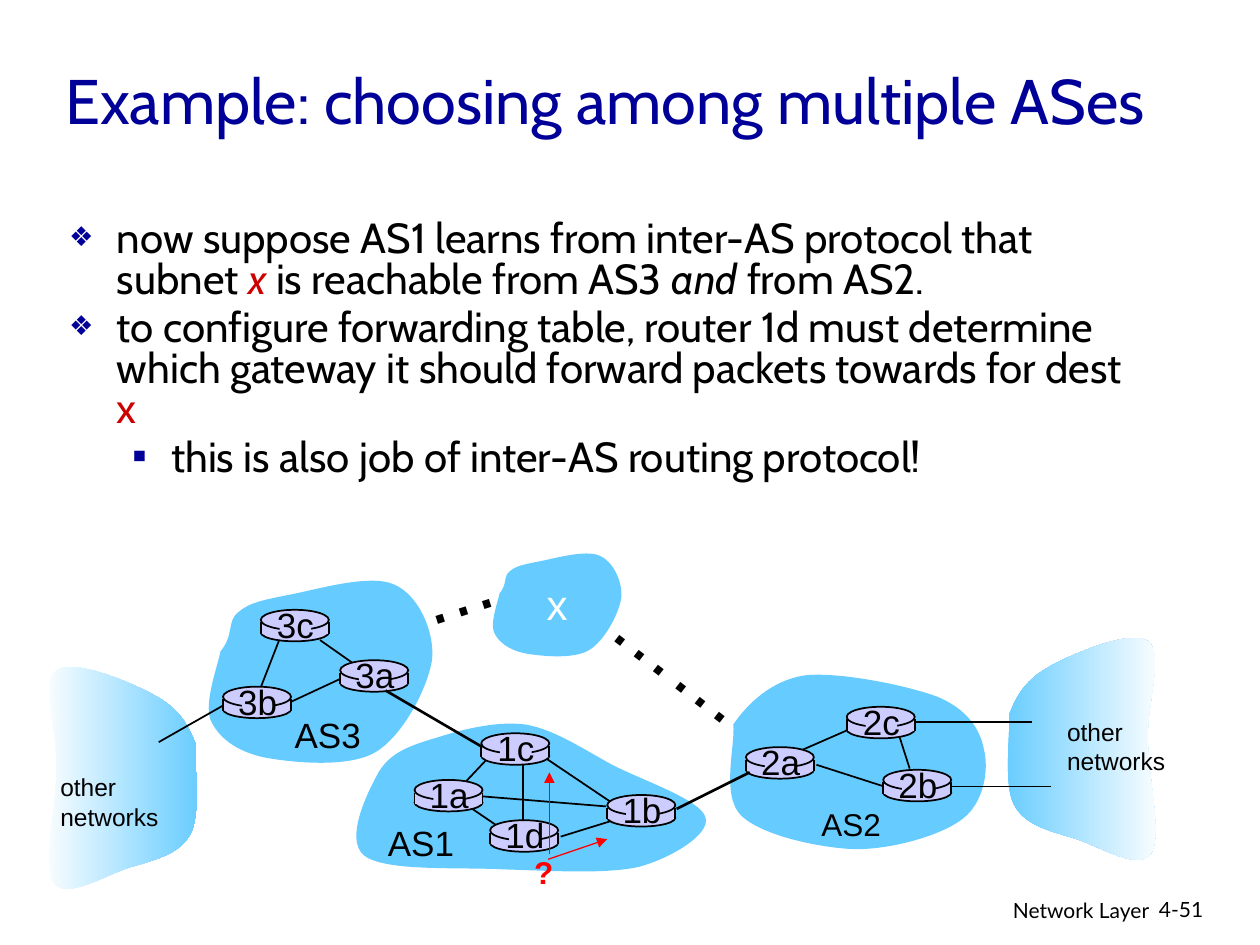
from dataclasses import dataclass
from typing import NamedTuple

from lxml.etree import SubElement
from pptx import Presentation
from pptx.dml.color import RGBColor
from pptx.enum.shapes import MSO_CONNECTOR as Wire, MSO_SHAPE as Form
from pptx.enum.text import MSO_ANCHOR as Anchor, MSO_AUTO_SIZE as Fit, PP_ALIGN as Align
from pptx.oxml.ns import qn
from pptx.util import Emu, Inches, Pt

WIDE, HIGH = Inches(10), Inches(7.5)
CELL = WIDE / 100  # the grid has 100 columns and 75 rows of square cells

BLACK = RGBColor(0x00, 0x00, 0x00)
WHITE = RGBColor(0xFF, 0xFF, 0xFF)
NAVY = RGBColor(0x00, 0x00, 0x99)
CRIMSON = RGBColor(0xCC, 0x00, 0x00)
RED = RGBColor(0xFF, 0x00, 0x00)
SKY = RGBColor(0x66, 0xCC, 0xFF)
LILAC = RGBColor(0xCC, 0xCC, 0xFF)

Points = list[tuple[float, float]]


@dataclass
class Note:
    text: str
    x: float
    y: float
    w: float
    h: float
    size: float
    color: RGBColor = BLACK
    font: str = "Arial"
    bold: bool = False
    turn: float = 0
    wrap: bool = False
    align: Align = Align.LEFT
    anchor: Anchor = Anchor.TOP


class Link(NamedTuple):
    x1: float
    y1: float
    x2: float
    y2: float
    width: float = 1
    color: RGBColor = BLACK
    arrow: bool = False


class Router(NamedTuple):
    name: str
    x: float
    y: float


class Span(NamedTuple):
    text: str
    color: RGBColor = BLACK
    slant: bool = False


class Item(NamedTuple):
    spans: list[Span]
    mark: str
    left: float
    hang: float
    scale: int
    level: int = 0


# Each outline is a start point followed by Bezier triples.
AS3: Points = [
    (17.5, 51.7), (18.6, 50.4), (18, 49.3), (18.9, 48.6), (19.8, 47.8), (21, 47.6), (23, 47.2),
    (25.1, 46.8), (29.4, 45.5), (31.3, 46.4), (33.2, 47.2), (34.5, 50.1), (34.3, 52.3),
    (34, 54.5), (32, 58.4), (29.8, 59.7), (27.6, 61), (23, 60.5), (20.9, 60.1),
    (18.7, 59.6), (17.3, 58.5), (16.7, 57.1), (16.2, 55.7), (17.3, 52.8), (17.5, 51.7)]
AS2: Points = [
    (58.2, 57.5), (59.3, 55.9), (61.2, 54), (63.9, 53.6), (66.6, 53.3), (72, 54.4), (74.4, 55.3),
    (76.8, 56.3), (77.8, 57.9), (78.1, 59.5), (78.5, 61.1), (78.1, 63.7), (76.4, 65),
    (74.7, 66.3), (70.9, 67.4), (67.9, 67.4), (65, 67.3), (60.4, 66.3), (58.8, 64.7),
    (57.2, 63.1), (58.4, 59), (58.2, 57.5)]
AS1: Points = [
    (30.1, 61.2), (31.1, 59.6), (32.8, 59.1), (34.8, 58.5), (36.7, 57.9), (39.4, 57.2), (41.7, 57.5),
    (44, 57.9), (46.2, 59.4), (48.6, 60.7), (50.9, 61.9), (55.7, 63.5), (56, 64.9),
    (56.4, 66.2), (53.3, 68.1), (50.7, 68.8), (48, 69.4), (43.6, 69.1), (40, 69),
    (36.4, 68.8), (30.6, 69.2), (28.9, 67.9), (27.3, 66.6), (29.2, 62.8), (30.1, 61.2)]
EAST: Points = [
    (80.1, 56.7), (80.7, 55.1), (81.5, 53.9), (83.3, 52.9), (85.1, 51.9), (89.8, 49.9), (91.1, 50.9),
    (92.4, 51.8), (91, 55.9), (91.1, 58.7), (91.1, 61.6), (92.3, 66.5), (91.3, 67.8),
    (90.4, 69.1), (87.3, 67.2), (85.5, 66.6), (83.6, 66), (81.4, 65.6), (80.5, 63.9),
    (79.6, 62.3), (80.2, 58.2), (80.1, 56.7)]
WEST: Points = [(95.6 - x, y + 2.3) for x, y in EAST]
NET_X: Points = [(38.9 + (x - 16.2) * 0.575, 43.6 + (y - 45.5) * 0.565) for x, y in AS3]

LINKS = [
    Link(23.1, 55.7, 27.4, 53.7), Link(28.1, 52.7, 25.4, 50.8), Link(22.2, 50.7, 20.6, 54.8),
    Link(38.7, 60.2, 37, 62), Link(41.5, 60.6, 41.5, 65.6), Link(43.2, 60.1, 48.7, 63.8),
    Link(48.7, 65.1, 44.5, 66.4), Link(48.1, 64, 38.2, 63.2), Link(37.2, 64, 39.4, 65.5),
    Link(62.8, 59.9, 67.6, 57.8), Link(64.8, 60.7, 70.1, 62.4), Link(71.4, 58.5, 72.2, 61),
    Link(72.6, 57.3, 81.9, 57.3, 0.75), Link(75.3, 62.4, 83.4, 62.4, 0.75),
    Link(17.7, 56, 12.6, 58.9)]
FRONT = [
    Link(30.6, 54.8, 38.3, 59.3, 1.5), Link(53.7, 64.2, 59.5, 61.3, 1.5),
    Link(43.5, 68.2, 48.2, 66.6, 0.75, RED, True), Link(43.6, 67.8, 43.6, 61.3, 0.75, RED, True)]
ROUTERS = [
    Router("3b", 17.7, 54.5), Router("3c", 20.7, 48.4), Router("3a", 27, 52.4),
    Router("1c", 38.2, 58.2), Router("1a", 32.9, 61.9), Router("1d", 38.9, 65.1),
    Router("1b", 48.2, 63.1), Router("2a", 59.2, 59.3), Router("2c", 67.2, 56.1),
    Router("2b", 70.1, 61.1)]
NOTES = [
    Note("Network Layer", 60.5, 70.7, 31.7, 3.1, 12, font="Lato", wrap=True, align=Align.RIGHT),
    Note("4-51", 91, 70.7, 7.4, 3, 12, font="Lato", wrap=True),
    Note("Example: choosing among multiple ASes", 4.2, 2.7, 95.9, 10.4, 36, NAVY, "Cabin",
         wrap=True, anchor=Anchor.MIDDLE),
    Note("AS3", 22.4, 56.1, 7.3, 4.3, 20),
    Note("AS2", 64.2, 63.4, 6.7, 4, 18),
    Note("AS1", 29.8, 64.7, 7.3, 4.3, 20),
    Note("other\nnetworks", 83.7, 56.4, 9.8, 5.7, 14),
    Note("other\nnetworks", 3.8, 60.8, 9.8, 5.7, 14),
    Note("x", 42.4, 45.4, 3.7, 5, 24, WHITE),
    Note("……", 47.4, 48.1, 14.2, 8.3, 44, turn=37.7),
    Note("…", 32.1, 42.4, 8.1, 8.3, 44, turn=342.3),
    Note("?", 41.4, 67.2, 3.5, 4, 18, RED, bold=True)]
ITEMS = [
    Item([Span("now suppose AS1 learns from inter-AS protocol that subnet "), Span("x", CRIMSON, True),
          Span(" is reachable from AS3 "), Span("and", BLACK, True), Span(" from AS2.")],
         "❖", 0.38, 0.38, 65),
    Item([Span("to configure forwarding table, router 1d must determine which gateway "
               "it should forward packets towards for dest "), Span("x", CRIMSON)],
         "❖", 0.38, 0.38, 65),
    Item([Span("this is also job of inter-AS routing protocol!")], "▪", 0.81, 0.31, 100, 1)]


def grid(*cells: float) -> list[Emu]:
    return [Emu(round(n * CELL)) for n in cells]


def style(run, size: float, color: RGBColor, font: str) -> None:
    run.font.size, run.font.name = Pt(size), font
    run.font.color.rgb = color


def write(shapes, note: Note) -> None:
    box = shapes.add_textbox(*grid(note.x, note.y, note.w, note.h))
    box.rotation = note.turn
    frame = box.text_frame
    frame.text = note.text
    frame.word_wrap, frame.vertical_anchor = note.wrap, note.anchor
    frame.auto_size = Fit.NONE if note.wrap else Fit.SHAPE_TO_FIT_TEXT
    for para in frame.paragraphs:
        para.alignment = note.align
        for run in para.runs:
            style(run, note.size, note.color, note.font)
            run.font.bold = note.bold


def join(shapes, link: Link) -> None:
    wire = shapes.add_connector(Wire.STRAIGHT, *grid(*link[:4]))
    wire.line.color.rgb, wire.line.width = link.color, Pt(link.width)
    props = wire._element.spPr
    if link.arrow:
        SubElement(props.find(qn("a:ln")), qn("a:tailEnd"), type="triangle")
    SubElement(props, qn("a:effectLst"))


def cloud(shapes, points: Points, fade: tuple[RGBColor, ...] = ()) -> None:
    """Draw a closed Bezier outline, plain or with a fade from left to right."""
    first, *rest = [grid(*point) for point in points]
    pen = shapes.build_freeform(*first)
    pen.add_line_segments(rest, close=True)
    shape = pen.convert_to_shape()
    steps = list(shape._element.iter(qn("a:lnTo")))[:len(rest)]
    for k in range(0, len(steps), 3):  # merge three straight steps into one curve
        curve = steps[k].makeelement(qn("a:cubicBezTo"))
        steps[k].addprevious(curve)
        for step in steps[k:k + 3]:
            curve.append(step[0])
            step.getparent().remove(step)
    shape.shadow.inherit = False
    shape.line.fill.background()
    if fade:
        shape.fill.gradient()
        shape.fill.gradient_angle = 0
        for stop, color in zip(shape.fill.gradient_stops, fade):
            stop.color.rgb = color
    else:
        shape.fill.solid()
        shape.fill.fore_color.rgb = SKY


def plate(shapes, form: Form, *place: float) -> None:
    """Add a lilac router part; only ellipses are outlined."""
    part = shapes.add_shape(form, *grid(*place))
    part.shadow.inherit = False
    part.fill.solid()
    part.fill.fore_color.rgb = LILAC
    if form == Form.OVAL:
        part.line.color.rgb, part.line.width = BLACK, Pt(1)
    else:
        part.line.fill.background()


def route(shapes, router: Router) -> None:
    name, x, y = router
    parts = shapes.add_group_shape().shapes
    plate(parts, Form.OVAL, x, y + 1.1, 5.4, 1.4)
    plate(parts, Form.RECTANGLE, x, y + 1, 5.4, 0.9)
    for side in (x, x + 5.4):
        join(parts, Link(side, y + 1, side, y + 1.9))
    plate(parts, Form.OVAL, x, y, 5.4, 1.6)
    plate(parts, Form.RECTANGLE, x + 1.5, y + 0.2, 2.5, 2)
    write(parts, Note(name, x + 0.2, y - 1, 5.1, 4.3, 20, align=Align.CENTER))


def listing(shapes) -> None:
    frame = shapes.add_textbox(*grid(4.5, 17.1, 87.4, 30.1)).text_frame
    frame.word_wrap = True
    for k, item in enumerate(ITEMS):
        para = frame.add_paragraph() if k else frame.paragraphs[0]
        para.level, para.line_spacing, para.space_before = item.level, 0.8, Pt(4.8)
        for span in item.spans:
            run = para.add_run()
            run.text = span.text
            style(run, 24, span.color, "Cabin")
            run.font.italic = span.slant
        props = para._p.get_or_add_pPr()
        props.set("marL", str(Inches(item.left)))
        props.set("indent", str(-Inches(item.hang)))
        SubElement(SubElement(props, qn("a:buClr")), qn("a:srgbClr"), val=str(NAVY))
        SubElement(props, qn("a:buSzPct"), val=str(item.scale * 1000))
        SubElement(props, qn("a:buFont"), typeface="Arial")
        SubElement(props, qn("a:buChar"), char=item.mark)


def main() -> None:
    deck = Presentation()
    deck.slide_width, deck.slide_height = WIDE, HIGH
    shapes = deck.slides.add_slide(deck.slide_layouts[6]).shapes
    listing(shapes)
    cloud(shapes, EAST, (SKY, WHITE))
    cloud(shapes, WEST, (WHITE, SKY))
    for points in (AS2, AS3, AS1, NET_X):
        cloud(shapes, points)
    for link in LINKS:
        join(shapes, link)
    for router in ROUTERS:
        route(shapes, router)
    for link in FRONT:
        join(shapes, link)
    for note in NOTES:
        write(shapes, note)
    deck.save("out.pptx")


if __name__ == "__main__":
    main()
